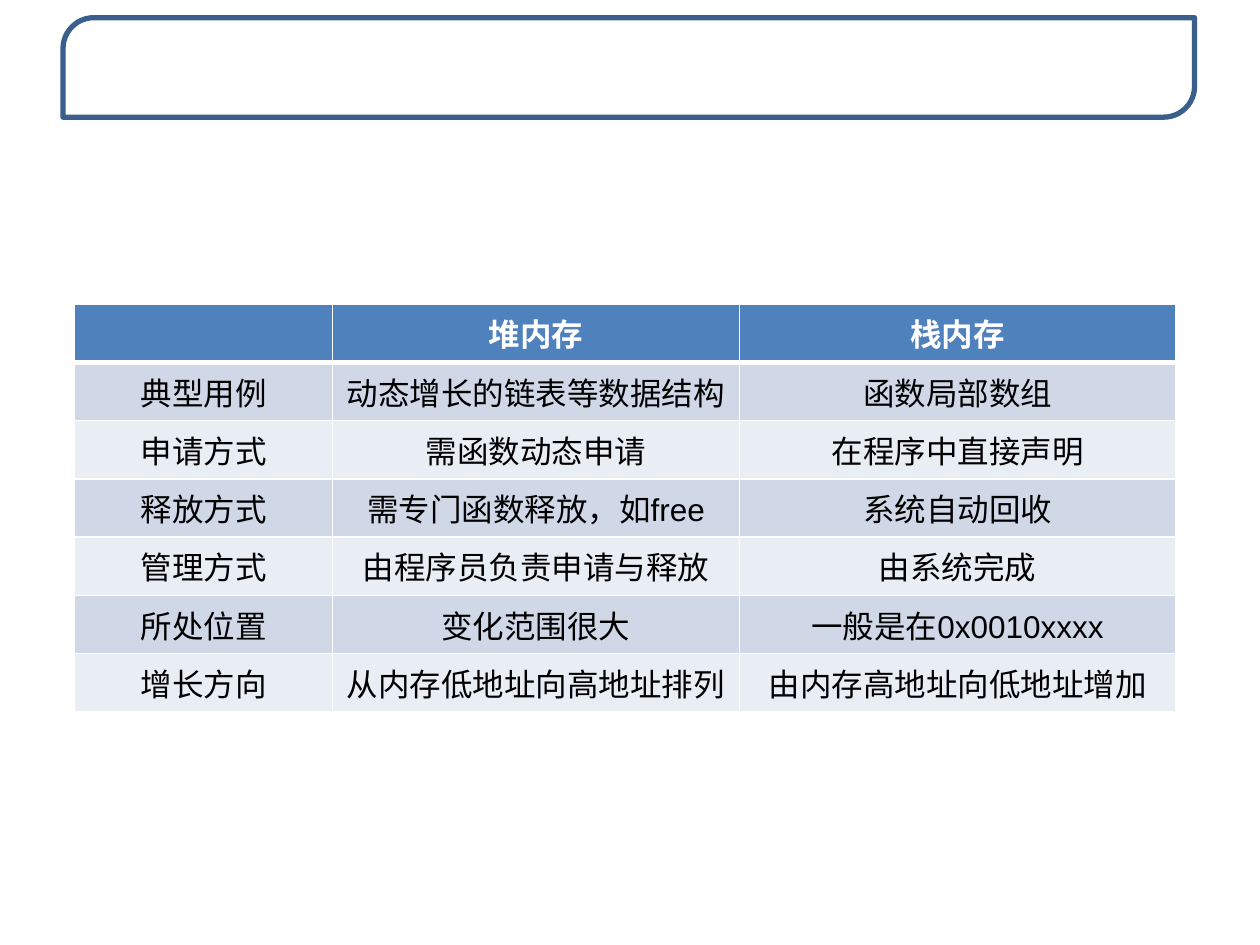
from lxml import etree
from pptx import Presentation
from pptx.dml.color import RGBColor
from pptx.enum.shapes import MSO_SHAPE
from pptx.enum.text import MSO_ANCHOR, PP_ALIGN
from pptx.oxml.ns import qn
from pptx.util import Pt

BANNER_SHAPE = MSO_SHAPE.ROUND_2_DIAG_RECTANGLE
CENTER = PP_ALIGN.CENTER
TOP = MSO_ANCHOR.TOP

COLUMN_WIDTHS = [147.6, 232.4, 249.5]
ROW_HEIGHT = 29.2
COMPARISON = [
    ["", "堆内存", "栈内存"],
    ["典型用例", "动态增长的链表等数据结构", "函数局部数组"],
    ["申请方式", "需函数动态申请", "在程序中直接声明"],
    ["释放方式", "需专门函数释放，如free", "系统自动回收"],
    ["管理方式", "由程序员负责申请与释放", "由系统完成"],
    ["所处位置", "变化范围很大", "一般是在0x0010xxxx"],
    ["增长方向", "从内存低地址向高地址排列", "由内存高地址向低地址增加"],
]


def paint(fill, color):
    fill.solid()
    fill.fore_color.rgb = RGBColor.from_string(color)


def write(frame, text, *, font, size, color, bold=False, align=CENTER):
    paragraph = frame.paragraphs[0]
    paragraph.alignment = align
    paragraph.font.size = Pt(size)
    if not text:
        return
    run = paragraph.add_run()
    run.text = text
    run.font.name = font
    run.font.size = Pt(size)
    run.font.bold = bold
    paint(run.font.fill, color)


class MemorySlide:
    font = "Arial"
    size = 18
    white = "FFFFFF"
    black = "000000"
    outline = "3A5F8C"
    header = "4F81BD"
    bands = ["D0D8E8", "E9EDF4"]

    def __init__(self, slide):
        self.slide = slide

    def banner(self, left, top, width, height):
        banner = self.slide.shapes.add_shape(
            BANNER_SHAPE, Pt(left), Pt(top), Pt(width), Pt(height))
        banner.shadow.inherit = False
        banner.adjustments[0] = 0.31
        banner.adjustments[1] = 0
        paint(banner.fill, self.white)
        # 85 % opacity
        fill_color = banner.fill._xPr.find(qn("a:solidFill"))[0]
        etree.SubElement(fill_color, qn("a:alpha"), val="85000")
        paint(banner.line.fill, self.outline)
        banner.line.width = Pt(3)

    def border(self, cell, side, width):
        line = etree.SubElement(cell._tc.get_or_add_tcPr(), qn(f"a:ln{side}"),
                                w=str(Pt(width)))
        solid = etree.SubElement(line, qn("a:solidFill"))
        etree.SubElement(solid, qn("a:srgbClr"), val=self.white)

    def cell(self, cell, text, row):
        is_header = row == 0
        thick_sides = {0: "B", 1: "T"}
        for side in "LRTB":
            self.border(cell, side, 3 if thick_sides.get(row) == side else 1)
        paint(cell.fill, self.header if is_header else self.bands[(row - 1) % 2])
        cell.vertical_anchor = TOP
        write(cell.text_frame, text, font=self.font, size=self.size,
              color=self.white if is_header else self.black, bold=is_header)

    def table(self, left, top, rows, widths, row_height):
        table = self.slide.shapes.add_table(
            len(rows), len(widths), Pt(left), Pt(top),
            Pt(sum(widths)), Pt(row_height * len(rows))).table
        for column, width in zip(table.columns, widths):
            column.width = Pt(width)
        for row, texts in enumerate(rows):
            table.rows[row].height = Pt(row_height)
            for column, text in enumerate(texts):
                self.cell(table.cell(row, column), text, row)


def main():
    presentation = Presentation()
    presentation.slide_width = Pt(720)
    presentation.slide_height = Pt(540)
    blank = presentation.slide_layouts[6]
    page = MemorySlide(presentation.slides.add_slide(blank))

    # Title banner
    page.banner(36, 10.1, 646.6, 56.9)

    # Heap and stack comparison
    page.table(42.5, 173.8, COMPARISON, COLUMN_WIDTHS, ROW_HEIGHT)

    presentation.save("out.pptx")


if __name__ == "__main__":
    main()
